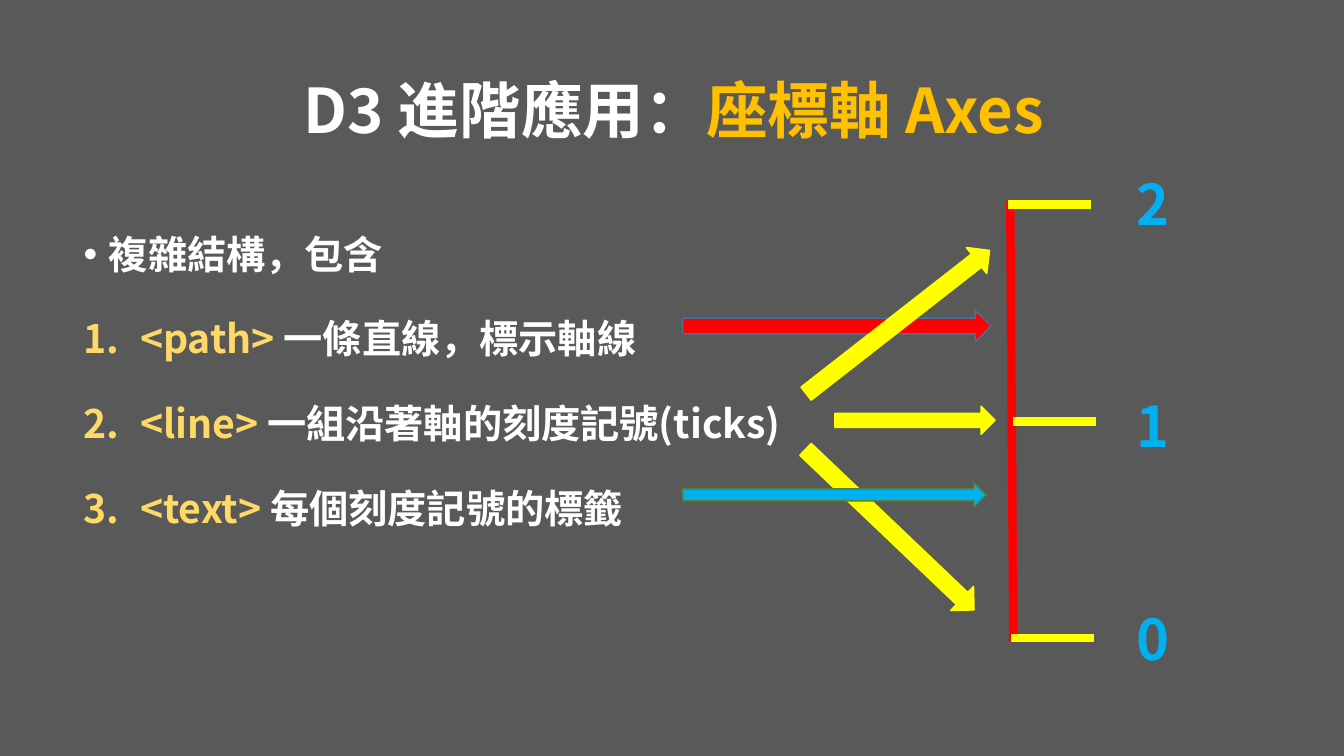
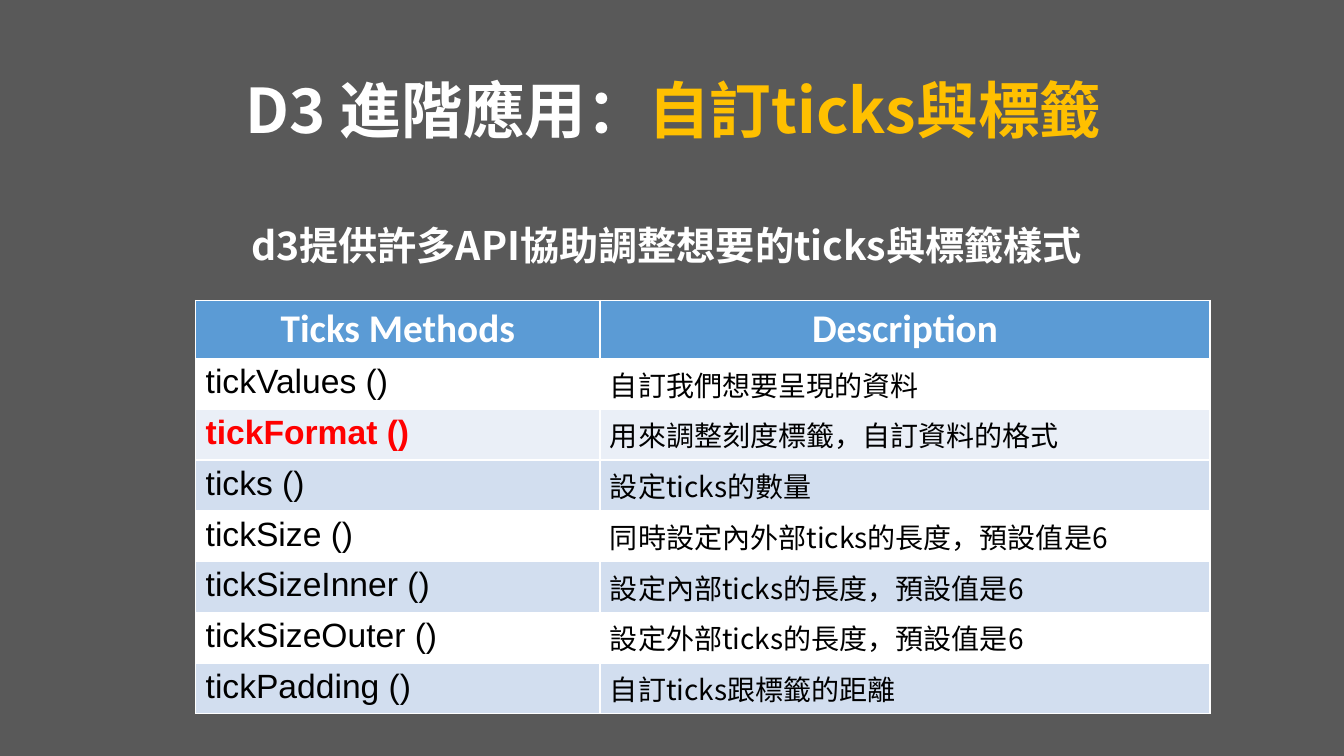
"""Build two slides on D3 axes: their structure and their tick methods."""
from lxml.etree import SubElement
from pptx import Presentation
from pptx.dml.color import RGBColor as RGB
from pptx.enum.shapes import MSO_CONNECTOR as Link, MSO_SHAPE as Shape
from pptx.enum.text import MSO_ANCHOR as Anchor, MSO_AUTO_SIZE as Auto, PP_ALIGN as Align
from pptx.oxml.ns import qn
from pptx.util import Inches, Pt

GRAY = RGB(0x59, 0x59, 0x59)
WHITE = RGB(0xFF, 0xFF, 0xFF)
BLACK = RGB(0, 0, 0)
GOLD = RGB(0xFF, 0xC0, 0x00)
SAND = RGB(0xFF, 0xD9, 0x66)
RED = RGB(0xFF, 0, 0)
YELLOW = RGB(0xFF, 0xFF, 0)
CYAN = RGB(0x00, 0xB0, 0xF0)
NAVY = RGB(0x43, 0x73, 0x9E)
GREEN = RGB(0x54, 0x82, 0x35)
BLUE = RGB(0x5B, 0x9B, 0xD5)
PALE = RGB(0xEA, 0xEF, 0xF7)
LIGHT = RGB(0xD2, 0xDE, 0xEF)
CJK, SANS, HEAD = "Noto Sans CJK SC", "Arial", "Calibri"

LEAD = "D3 進階應用："
PARTS = [
    ("<path> ", "一條直線，標示軸線"),
    ("<line> ", "一組沿著軸的刻度記號(ticks)"),
    ("<text> ", "每個刻度記號的標籤"),
]
AXIS = (10.02, 2, 10.05, 6.37)
TICKS = [("2", 10, 2.03, 1.63), ("1", 10.05, 4.18, 3.83), ("0", 10.03, 6.33, 5.95)]
TICK = 0.82
ARROWS = [
    ((6.77, 3.08, 3.06, 0.31), 0, RED, NAVY),
    ((7.75, 3.03, 2.31, 0.33), 322, YELLOW, YELLOW),
    ((7.67, 5.09, 2.31, 0.33), 43.6, YELLOW, YELLOW),
    ((8.28, 4.03, 1.59, 0.28), 0, YELLOW, YELLOW),
    ((6.77, 4.79, 3.01, 0.24), 0, CYAN, GREEN),
]
INTRO = "d3提供許多API協助調整想要的ticks與標籤樣式"
HEADS = ("Ticks Methods", "Description")
ROWS = [
    ("tickValues ()", "自訂我們想要呈現的資料", WHITE),
    ("tickFormat ()", "用來調整刻度標籤，自訂資料的格式", PALE),
    ("ticks ()", "設定ticks的數量", LIGHT),
    ("tickSize ()", "同時設定內外部ticks的長度，預設值是6", WHITE),
    ("tickSizeInner ()", "設定內部ticks的長度，預設值是6", LIGHT),
    ("tickSizeOuter ()", "設定外部ticks的長度，預設值是6", WHITE),
    ("tickPadding ()", "自訂ticks跟標籤的距離", LIGHT),
]
KEY = "tickFormat ()"
COLS = (4.01, 6.05)
HEAD_H, ROW_H = 0.56, 0.5


def add_run(para, text, size, color, bold=True, face=CJK):
    run = para.add_run()
    run.text = text
    font = run.font
    font.size, font.bold, font.name = Pt(size), bold, face
    font.color.rgb = color
    SubElement(font._element, qn("a:ea"), typeface=face)


def place(shape, *box):
    shape.left, shape.top, shape.width, shape.height = map(Inches, box)


def add_slide(deck, topic, box):
    slide = deck.slides.add_slide(deck.slide_layouts[1])
    title, body = slide.placeholders
    place(title, 0.73, 0.4, 11.9, 1.45)
    title.text_frame.vertical_anchor = Anchor.MIDDLE
    para = title.text_frame.paragraphs[0]
    para.alignment, para.line_spacing = Align.CENTER, 0.9
    add_run(para, LEAD, 44, WHITE)
    add_run(para, topic, 44, GOLD)
    place(body, *box)
    for item in (title, body):
        item.text_frame.auto_size = Auto.NONE
    return slide, body.text_frame


def set_list(para, lead, indent, kind, **attrs):
    para.line_spacing, para.space_before = lead, Pt(10)
    props = para._p.get_or_add_pPr()
    props.set("marL", str(Inches(indent)))
    props.set("indent", str(-Inches(indent)))
    SubElement(props, qn(kind), **attrs)


def add_line(slide, ends, color):
    line = slide.shapes.add_connector(Link.STRAIGHT, *map(Inches, ends))
    line.line.color.rgb, line.line.width = color, Pt(6)
    SubElement(line._element.spPr, qn("a:effectLst"))


def add_arrow(slide, box, angle, fill, edge):
    arrow = slide.shapes.add_shape(Shape.RIGHT_ARROW, *map(Inches, box))
    arrow.rotation = angle
    arrow.shadow.inherit = False
    arrow.fill.solid()
    arrow.fill.fore_color.rgb = fill
    arrow.line.color.rgb, arrow.line.width = edge, Pt(1)


def add_label(slide, text, top):
    frame = slide.shapes.add_textbox(*map(Inches, (11.17, top, 0.54, 0.77))).text_frame
    frame.word_wrap, frame.auto_size = False, Auto.SHAPE_TO_FIT_TEXT
    frame.vertical_anchor = Anchor.MIDDLE
    add_run(frame.paragraphs[0], text, 40, CYAN)


def set_cell(cell, fill, text, *style):
    cell.fill.solid()
    cell.fill.fore_color.rgb = fill
    add_run(cell.text_frame.paragraphs[0], text, *style)
    props = cell._tc.get_or_add_tcPr()
    for spot, side in enumerate("LRTB"):
        edge = SubElement(props, qn("a:ln" + side), w=str(Pt(1)))
        SubElement(SubElement(edge, qn("a:solidFill")), qn("a:srgbClr"), val=str(WHITE))
        props.insert(spot, edge)


def draw_axes(deck):
    slide, frame = add_slide(deck, "座標軸 Axes", (0.73, 2, 7.24, 5.08))
    para = frame.paragraphs[0]
    set_list(para, 1.5, 0.25, "a:buChar", char="•")
    add_run(para, "複雜結構，包含", 28, WHITE)
    for tag, note in PARTS:
        para = frame.add_paragraph()
        set_list(para, 1.5, 0.56, "a:buAutoNum", type="arabicPeriod")
        add_run(para, tag, 28, SAND)
        add_run(para, note, 28, WHITE)
    add_line(slide, AXIS, RED)
    for _, left, top, _ in TICKS:
        add_line(slide, (left, top, left + TICK, top), YELLOW)
    for arrow in ARROWS:
        add_arrow(slide, *arrow)
    for text, _, _, top in TICKS:
        add_label(slide, text, top)


def draw_ticks(deck):
    slide, frame = add_slide(deck, "自訂ticks與標籤", (2.39, 1.68, 9.2, 0.96))
    para = frame.paragraphs[0]
    set_list(para, 2.0, 0, "a:buNone")
    add_run(para, INTRO, 28, WHITE)
    box = (1.94, 2.98, sum(COLS), HEAD_H + ROW_H * len(ROWS))
    table = slide.shapes.add_table(len(ROWS) + 1, len(COLS), *map(Inches, box)).table
    for col, width in zip(table.columns, COLS):
        col.width = Inches(width)
    for num, row in enumerate(table.rows):
        row.height = Inches(ROW_H if num else HEAD_H)
    for num, text in enumerate(HEADS):
        cell = table.cell(0, num)
        set_cell(cell, BLUE, text, 28, WHITE, True, HEAD)
        cell.text_frame.paragraphs[0].alignment = Align.CENTER
    for num, (name, note, fill) in enumerate(ROWS, 1):
        key = name == KEY
        set_cell(table.cell(num, 0), fill, name, 24, RED if key else BLACK, key, SANS)
        cell = table.cell(num, 1)
        set_cell(cell, fill, note, 20, BLACK, False)
        cell.vertical_anchor = Anchor.MIDDLE


def main():
    deck = Presentation()
    deck.slide_width, deck.slide_height = Inches(13.33), Inches(7.5)
    back = deck.slide_master.background.fill
    back.solid()
    back.fore_color.rgb = GRAY
    draw_axes(deck)
    draw_ticks(deck)
    deck.save("out.pptx")


if __name__ == "__main__":
    main()
